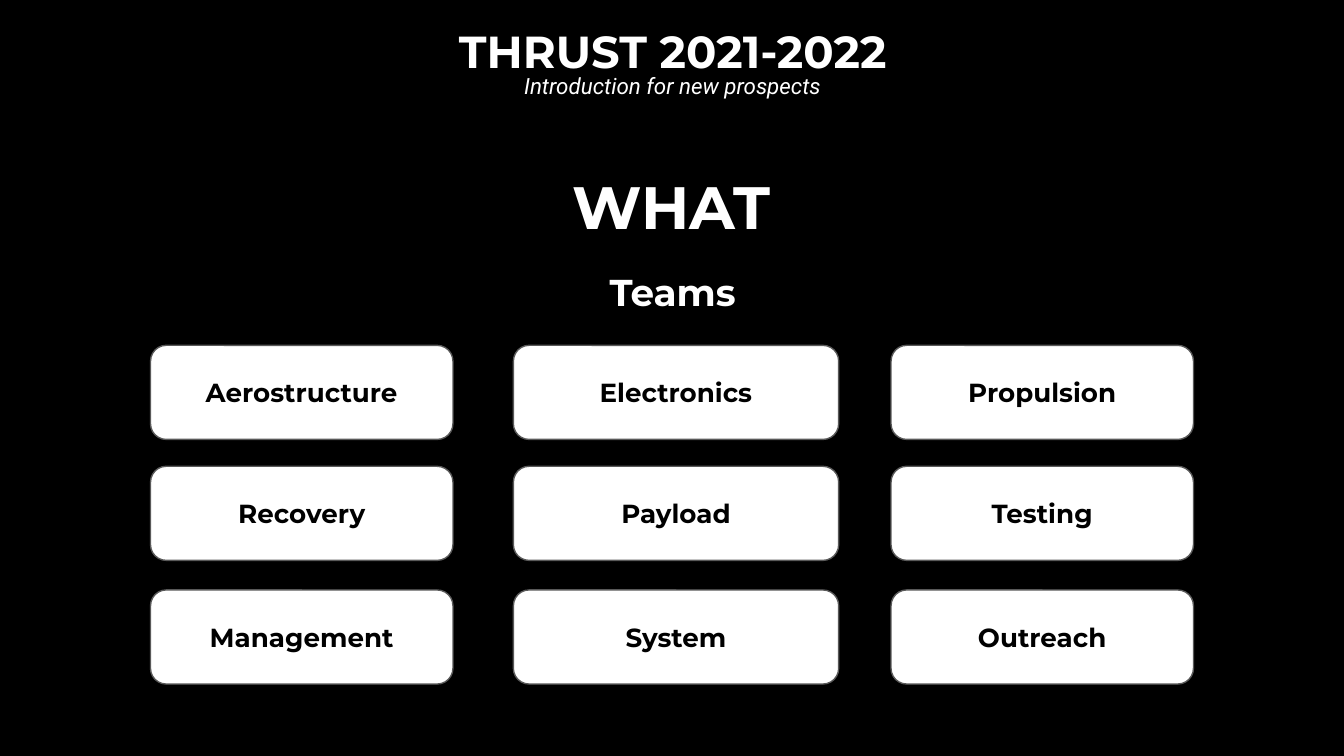
from dataclasses import dataclass

from pptx import Presentation
from pptx.dml.color import RGBColor
from pptx.enum.shapes import MSO_SHAPE
from pptx.enum.text import MSO_ANCHOR, MSO_AUTO_SIZE, PP_ALIGN
from pptx.util import Inches, Pt

ROUNDED = MSO_SHAPE.ROUNDED_RECTANGLE
CENTER = PP_ALIGN.CENTER
TOP = MSO_ANCHOR.TOP
MIDDLE = MSO_ANCHOR.MIDDLE
FIT_SHAPE = MSO_AUTO_SIZE.SHAPE_TO_FIT_TEXT
NO_FIT = MSO_AUTO_SIZE.NONE


@dataclass(frozen=True)
class Theme:
    black: RGBColor = RGBColor(0, 0, 0)
    white: RGBColor = RGBColor(255, 255, 255)
    outline: RGBColor = RGBColor(0x59, 0x59, 0x59)
    heading_font: str = "Montserrat"
    body_font: str = "Roboto"
    title_size: int = 24
    subtitle_size: int = 12
    question_size: int = 32
    section_size: int = 20
    team_size: int = 14


THEME = Theme()
TEAM_ROWS = [
    ("Aerostructure", "Electronics", "Propulsion"),
    ("Recovery", "Payload", "Testing"),
    ("Management", "System", "Outreach"),
]
COLUMNS = [(1.12, 2.25), (3.82, 2.42), (6.63, 2.25)]
ROW_TOPS = [2.57, 3.47, 4.39]
CARD_HEIGHT = 0.7


def write_text(box, text, *, size, color, font=THEME.heading_font,
               bold=True, italic=False, anchor=TOP, fit=NO_FIT):
    frame = box.text_frame
    frame.word_wrap = True
    frame.auto_size = fit
    frame.vertical_anchor = anchor
    frame.margin_left = frame.margin_right = Inches(0.1)
    frame.margin_top = frame.margin_bottom = Inches(0.1)
    para = frame.paragraphs[0]
    para.alignment = CENTER
    span = para.add_run()
    span.text = text
    span.font.name = font
    span.font.size = Pt(size)
    span.font.bold = bold
    span.font.italic = italic
    span.font.color.rgb = color


def add_label(page, text, left, top, width, height, **text_format):
    box = page.shapes.add_textbox(
        Inches(left), Inches(top), Inches(width), Inches(height))
    write_text(box, text, color=THEME.white, fit=FIT_SHAPE, **text_format)


def add_team_card(page, team, left, top, width):
    card = page.shapes.add_shape(
        ROUNDED, Inches(left), Inches(top), Inches(width), Inches(CARD_HEIGHT))
    card.adjustments[0] = 0.167
    card.shadow.inherit = False
    card.fill.solid()
    card.fill.fore_color.rgb = THEME.white
    card.line.color.rgb = THEME.outline
    card.line.width = Pt(0.75)
    write_text(card, team, size=THEME.team_size, color=THEME.black, anchor=MIDDLE)


def add_team_grid(page):
    for top, teams in zip(ROW_TOPS, TEAM_ROWS):
        for (left, width), team in zip(COLUMNS, teams):
            add_team_card(page, team, left, top, width)


def main():
    deck = Presentation()
    deck.slide_width = Inches(10)
    deck.slide_height = Inches(10 * 9 / 16)
    page = deck.slides.add_slide(deck.slide_layouts[6])
    page.background.fill.solid()
    page.background.fill.fore_color.rgb = THEME.black

    add_label(page, "Introduction for new prospects", 1.84, 0.44, 6.33, 0.4,
              size=THEME.subtitle_size, font=THEME.body_font,
              bold=False, italic=True)
    add_label(page, "WHAT", 4.04, 1.16, 1.91, 0.74, size=THEME.question_size)
    add_label(page, "THRUST 2021-2022", 1.84, 0.08, 6.33, 0.61,
              size=THEME.title_size)
    add_label(page, "Teams", 2.66, 1.9, 4.69, 0.54, size=THEME.section_size)
    add_team_grid(page)
    deck.save("out.pptx")


if __name__ == "__main__":
    main()
